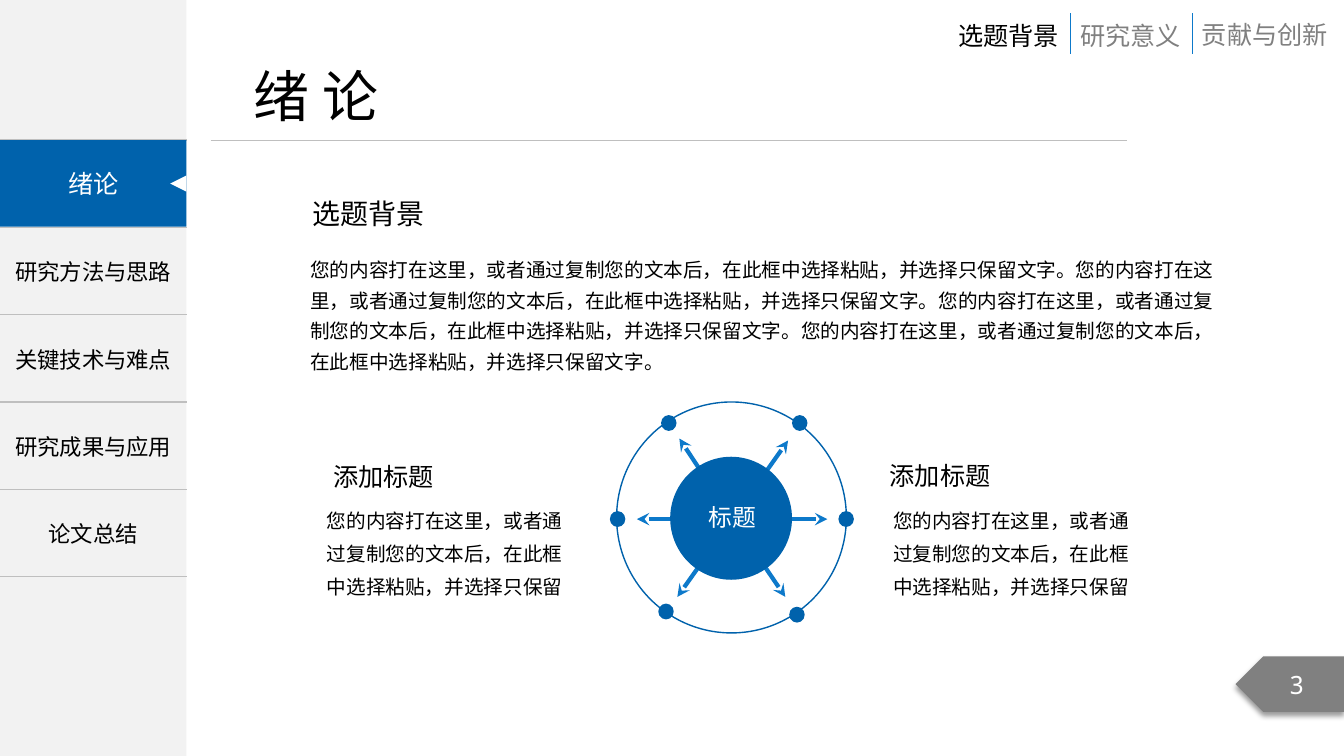
from lxml.etree import SubElement
from pptx import Presentation
from pptx.dml.color import RGBColor
from pptx.enum.shapes import MSO_CONNECTOR, MSO_SHAPE
from pptx.enum.text import MSO_ANCHOR, MSO_AUTO_SIZE, PP_ALIGN
from pptx.oxml.ns import qn
from pptx.util import Cm, Pt

BLUE = RGBColor(0x00, 0x62, 0xAC)
BRIGHT = RGBColor(0x0D, 0x79, 0xCA)
PALE = RGBColor(0xF2, 0xF2, 0xF2)
RULE = RGBColor(0xBF, 0xBF, 0xBF)
GRAY = RGBColor(0x80, 0x80, 0x80)
WHITE = RGBColor(0xFF, 0xFF, 0xFF)
BLACK = RGBColor(0x00, 0x00, 0x00)
SANS, MONO = "Noto Sans CJK SC", "Noto Sans Mono"

CHAPTERS = ["绪论", "研究方法与思路", "关键技术与难点", "研究成果与应用", "论文总结"]
# label, top, width, colour
SECTIONS = [("选题背景", 0.38, 3.07, BLACK), ("研究意义", 0.38, 3.07, GRAY),
            ("贡献与创新", 0.36, 3.71, GRAY)]
SENTENCE = "您的内容打在这里，或者通过复制您的文本后，在此框中选择粘贴，并选择只保留文字。"
CARD_TEXT = "您的内容打在这里，或者通过复制您的文本后，在此框中选择粘贴，并选择只保留"
# heading left, heading top, body left, body height
CARDS = [(22.17, 11.48, 22.25, 2.72), (8.15, 11.51, 7.98, 2.82)]
DOTS = [(19.96, 10.46), (16.66, 10.46), (15.37, 12.88),
        (21.13, 12.88), (19.89, 15.29), (16.59, 15.21)]
HUB = (18.46, 13.08)
ARROW_TIPS = [(19.86, 11.1), (20.85, 13.08), (17.12, 11.05),
              (16.05, 13.08), (17.07, 15.04), (19.79, 15.04)]

SIDE_W, ROW_H, HEAD_Y = 4.7, 2.2, 3.53
NAV_X, NAV_STEP = 23.9, 3.07

prs = Presentation()
prs.slide_width, prs.slide_height = Cm(33.87), Cm(19.05)
s = prs.slides.add_slide(prs.slide_layouts[6])


def write(tf, text, size, color, align=PP_ALIGN.LEFT, font=SANS, spacing=None):
    p = tf.paragraphs[0]
    p.text = text
    p.alignment = align
    if spacing:
        p.line_spacing = spacing
    p.font.size = Pt(size)
    p.font.color.rgb = color
    p.font.name = font
    # East Asian characters take their typeface from a:ea
    SubElement(p._p.pPr.find(qn("a:defRPr")), qn("a:ea"), typeface=font)


def textbox(x, y, w, h, text, size, color=BLACK, wrap=False, **style):
    tf = s.shapes.add_textbox(Cm(x), Cm(y), Cm(w), Cm(h)).text_frame
    tf.word_wrap = wrap
    tf.auto_size = MSO_AUTO_SIZE.SHAPE_TO_FIT_TEXT
    write(tf, text, size, color, **style)


def shape(kind, x, y, w, h, fill=None, line=None):
    sp = s.shapes.add_shape(kind, Cm(x), Cm(y), Cm(w), Cm(h))
    sp.shadow.inherit = False
    if fill is None:
        sp.fill.background()
    else:
        sp.fill.solid()
        sp.fill.fore_color.rgb = fill
    if line is None:
        sp.line.fill.background()
    else:
        sp.line.color.rgb = line
        sp.line.width = Pt(1)
    return sp


def label(sp, text, size, font=SANS):
    sp.text_frame.vertical_anchor = MSO_ANCHOR.MIDDLE
    write(sp.text_frame, text, size, WHITE, PP_ALIGN.CENTER, font)


def line(x1, y1, x2, y2, color, width, arrow=False):
    c = s.shapes.add_connector(MSO_CONNECTOR.STRAIGHT, Cm(x1), Cm(y1), Cm(x2), Cm(y2))
    c.line.color.rgb = color
    c.line.width = Pt(width)
    if arrow:
        SubElement(c.line._ln, qn("a:tailEnd"), type="stealth")
    SubElement(c._element.spPr, qn("a:effectLst"))


def set_borders(cell):
    """Grey rules above and below the cell, nothing at its sides."""
    tcPr = cell._tc.get_or_add_tcPr()
    for side in ("lnL", "lnR"):
        SubElement(SubElement(tcPr, qn(f"a:{side}"), w="0"), qn("a:noFill"))
    for side in ("lnT", "lnB"):
        ln = SubElement(tcPr, qn(f"a:{side}"), w=str(Pt(1)))
        SubElement(SubElement(ln, qn("a:solidFill")), qn("a:srgbClr"), val=str(RULE))


# Sidebar with the current chapter highlighted
shape(MSO_SHAPE.RECTANGLE, 0, 0, SIDE_W, 19.05, PALE)
table = s.shapes.add_table(len(CHAPTERS), 1, 0, Cm(HEAD_Y), Cm(SIDE_W),
                           Cm(ROW_H * len(CHAPTERS))).table
table.first_row = table.horz_banding = False
for i, chapter in enumerate(CHAPTERS):
    cell = table.cell(i, 0)
    set_borders(cell)
    cell.fill.background()
    cell.vertical_anchor = MSO_ANCHOR.MIDDLE
    if i > 0:
        write(cell.text_frame, chapter, 16, BLACK, PP_ALIGN.CENTER)
label(shape(MSO_SHAPE.RECTANGLE, 0, HEAD_Y, SIDE_W, 2.18, BLUE), CHAPTERS[0], 18)
shape(MSO_SHAPE.ISOSCELES_TRIANGLE, 4.29, 4.42, 0.41, 0.41, WHITE).rotation = 270

# Title and page number
line(5.31, HEAD_Y, 28.4, HEAD_Y, RULE, 0.5)
textbox(6.15, 1.42, 4.06, 1.96, "绪 论", 40)
page = shape(MSO_SHAPE.PENTAGON, 31.14, 16.54, 2.73, 1.4, GRAY)
page._element.spPr.xfrm.set("flipH", "1")
shadow = SubElement(page._element.spPr.find(qn("a:effectLst")), qn("a:outerShdw"),
                    blurRad=str(Pt(4)), dist=str(Pt(3)), dir="5400000", rotWithShape="0")
SubElement(SubElement(shadow, qn("a:srgbClr"), val=str(BLACK)), qn("a:alpha"), val="40000")
label(page, "3", 18, MONO)

# Section navigation
for i, (name, top, width, color) in enumerate(SECTIONS):
    x = NAV_X + i * NAV_STEP
    if i > 0:
        line(x, 0.33, x, 1.37, BRIGHT, 0.5)
    textbox(x, top, width, 1.02, name, 18, color)

# Wheel
shape(MSO_SHAPE.OVAL, 15.54, 10.13, 5.79, 5.82, line=BLUE)
for x, y in DOTS:
    shape(MSO_SHAPE.OVAL, x, y, 0.39, 0.4, BLUE)
for x, y in ARROW_TIPS:
    line(*HUB, x, y, BRIGHT, 3, arrow=True)

# Introduction
textbox(7.57, 6.2, 23.5, 4.06, SENTENCE * 4, 14, wrap=True, spacing=1.3)
textbox(7.62, 4.83, 3.35, 1.12, "选题背景", 20)

shape(MSO_SHAPE.OVAL, 16.89, 11.51, 3.07, 3.1, BLUE)
textbox(17.6, 12.55, 1.91, 0.99, "标题", 17, WHITE)

for head_x, head_y, body_x, body_h in CARDS:
    textbox(head_x, head_y, 3.07, 1.02, "添加标题", 18)
    textbox(body_x, 12.45, 6.45, body_h, CARD_TEXT, 14, wrap=True,
            align=PP_ALIGN.RIGHT, spacing=Pt(23.7))

prs.save("out.pptx")
